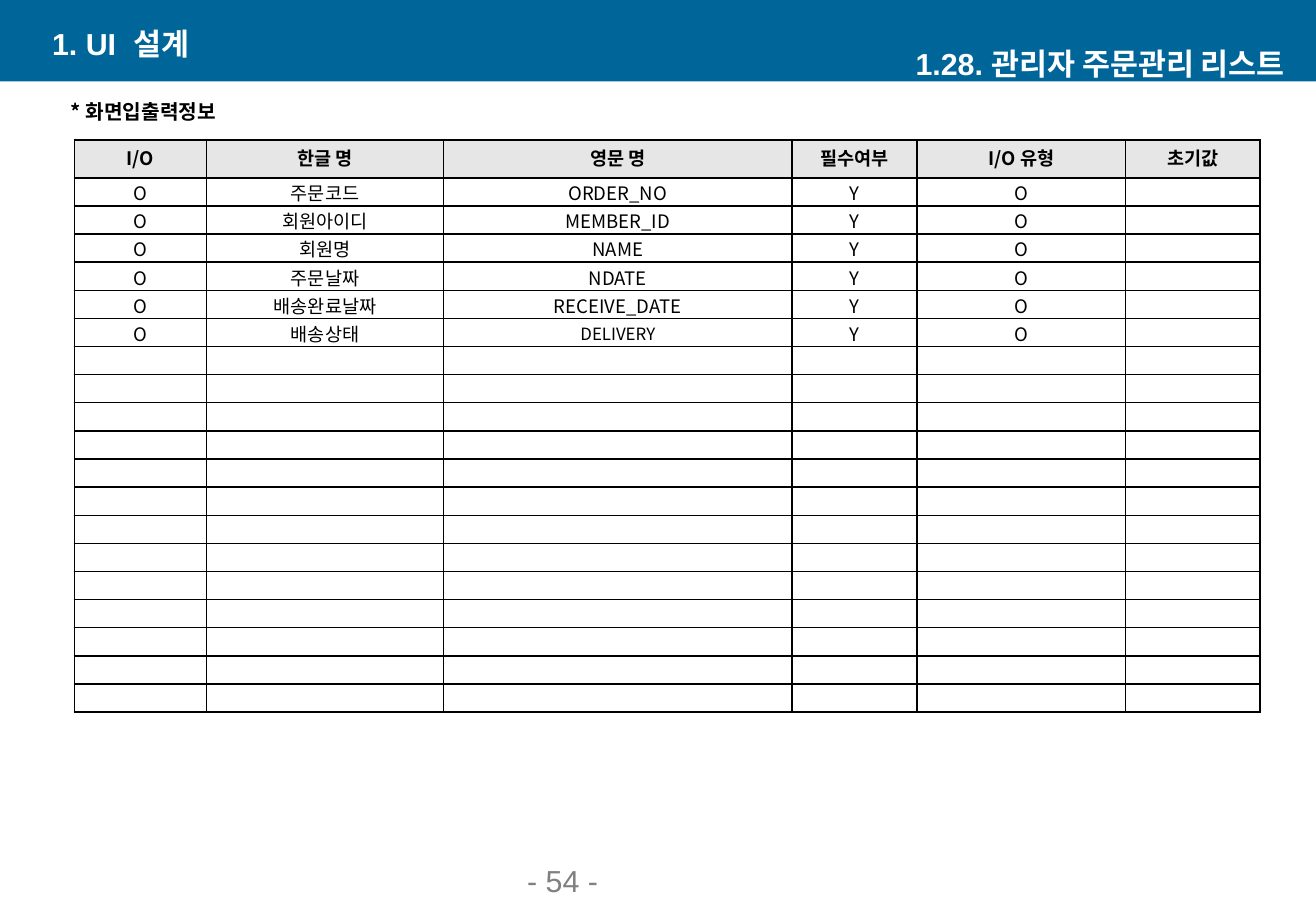
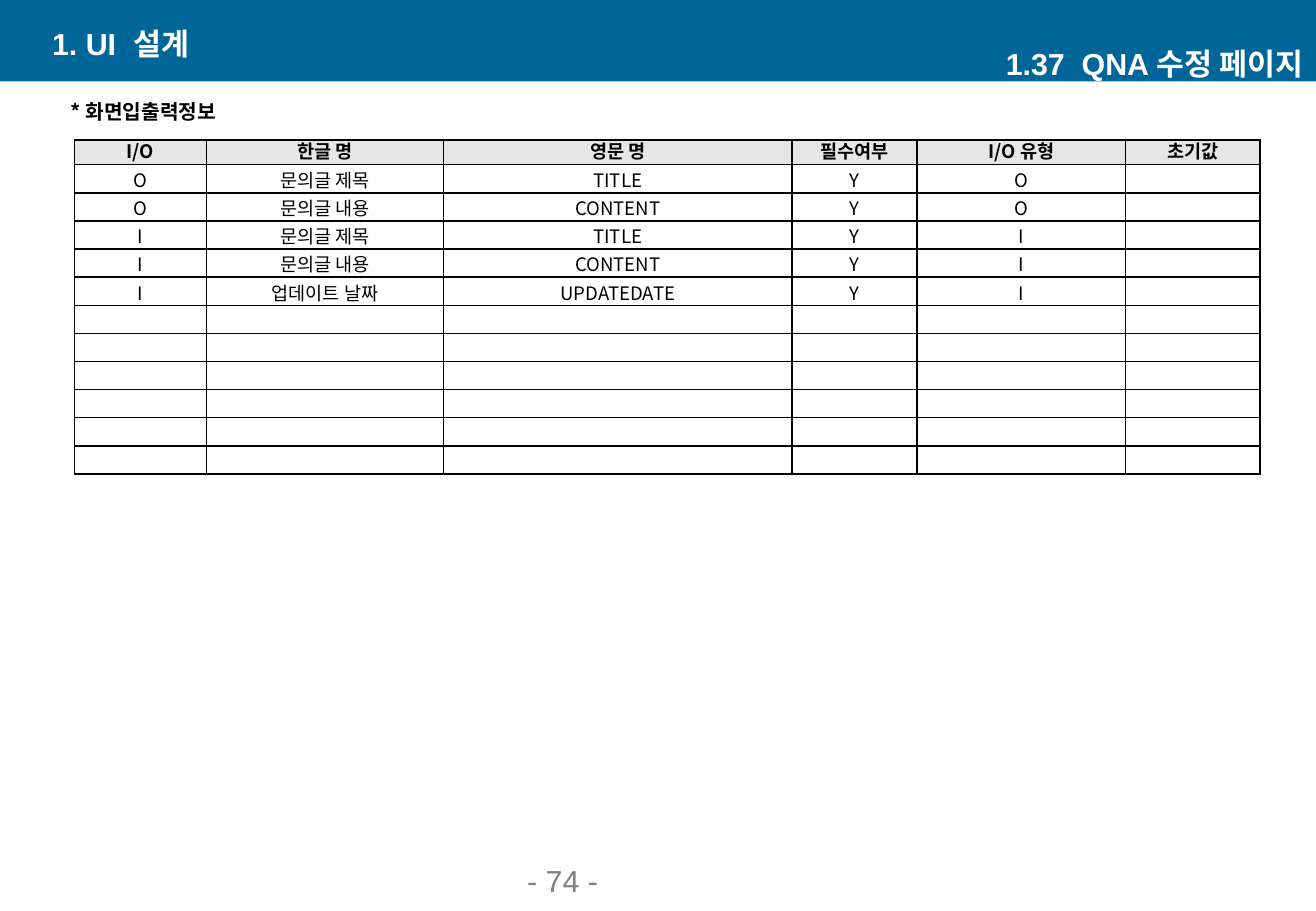
import pptx
import pptx.dml.color
import pptx.enum.shapes
import pptx.enum.text
import pptx.oxml.ns
import pptx.util
from lxml import etree

WIDTH, HEIGHT = pptx.util.Inches(10.83), pptx.util.Inches(7.5)
COLORS = {"band": "006699", "title": "FFFFFF", "ink": "000000",
          "header": "E6E6E6", "page": "808080"}
HEADING_FONT, BODY_FONT = "Arial", "Noto Sans CJK KR"
HEADERS = ["I/O", "한글 명", "영문 명", "필수여부", "I/O 유형", "초기값"]
COLUMN_SHARES = [10.06, 18, 26.48, 9.5, 15.86, 10.22]
ROW_SHARE = 3.09
SMALL_NAMES = {"DELIVERY": 10}
ALIGN = pptx.enum.text.PP_ALIGN
ANCHOR = pptx.enum.text.MSO_ANCHOR

SCREENS = [
    {"title": "1.28. 관리자 주문관리 리스트", "title_inset": 0.25, "page": 54,
     "header_share": 4.17, "body_rows": 19,
     "fields": [("O", "주문코드", "ORDER_NO"),
                ("O", "회원아이디", "MEMBER_ID"),
                ("O", "회원명", "NAME"),
                ("O", "주문날짜", "NDATE"),
                ("O", "배송완료날짜", "RECEIVE_DATE"),
                ("O", "배송상태", "DELIVERY")]},
    {"title": "1.37  QNA 수정 페이지", "title_inset": 0.1, "page": 74,
     "header_share": 2.73, "body_rows": 11,
     "fields": [("O", "문의글 제목", "TITLE"),
                ("O", "문의글 내용", "CONTENT"),
                ("I", "문의글 제목", "TITLE"),
                ("I", "문의글 내용", "CONTENT"),
                ("I", "업데이트 날짜", "UPDATEDATE")]},
]


def across(share):
    return round(WIDTH * share / 100)


def down(share):
    return round(HEIGHT * share / 100)


def area(left, top, width, height):
    return across(left), down(top), across(width), down(height)


def rgb(name):
    return pptx.dml.color.RGBColor.from_string(COLORS[name])


def child(parent, tag, **attributes):
    return etree.SubElement(parent, pptx.oxml.ns.qn(tag), attributes)


def style(paragraph, font, size, color, bold=False, align=ALIGN.LEFT):
    paragraph.alignment = align
    paragraph.font.size = pptx.util.Pt(size)
    paragraph.font.bold = bold
    paragraph.font.color.rgb = rgb(color)
    paragraph.font.name = font


def add_band(slide):
    band = slide.shapes.add_shape(
        pptx.enum.shapes.MSO_SHAPE.RECTANGLE, *area(0, 0, 100, 8.93))
    band.shadow.inherit = False
    band.fill.solid()
    band.fill.fore_color.rgb = rgb("band")
    band.line.fill.background()


def add_text(slide, place, text, font, size, color, bold=True,
             align=ALIGN.LEFT, anchor=ANCHOR.MIDDLE, wrap=True):
    frame = slide.shapes.add_textbox(*area(*place)).text_frame
    frame.word_wrap = wrap
    frame.vertical_anchor = anchor
    frame.text = text
    style(frame.paragraphs[0], font, size, color, bold, align)
    return frame


def add_borders(cell):
    properties = cell._tc.get_or_add_tcPr()
    for side in "LRTB":
        line = child(properties, f"a:ln{side}", w=str(pptx.util.Pt(1)))
        child(child(line, "a:solidFill"), "a:srgbClr", val=COLORS["ink"])


def fill_cell(cell, text, is_header):
    add_borders(cell)
    cell.vertical_anchor = ANCHOR.MIDDLE
    side, top = (0.07, 0) if is_header else (0.01, 0.01)
    cell.margin_left = cell.margin_right = pptx.util.Inches(side)
    cell.margin_top, cell.margin_bottom = pptx.util.Inches(top), 0
    if is_header:
        cell.fill.solid()
        cell.fill.fore_color.rgb = rgb("header")
    else:
        cell.fill.background()
    size = SMALL_NAMES.get(text, 11)
    paragraph = cell.text_frame.paragraphs[0]
    if text:
        paragraph.text = text
    style(paragraph, BODY_FONT, size, "ink", is_header, ALIGN.CENTER)
    if is_header:
        paragraph.line_spacing = pptx.util.Pt(14)
    if not text:
        ending = child(paragraph._p, "a:endParaRPr", sz=str(size * 100))
        child(ending, "a:latin", typeface=BODY_FONT)


def add_field_table(slide, fields, body_rows, header_share):
    heights = [header_share] + [ROW_SHARE] * body_rows
    place = area(5.65, 15.35, sum(COLUMN_SHARES), sum(heights))
    table = slide.shapes.add_table(
        len(heights), len(COLUMN_SHARES), *place).table
    table.first_row = table.horz_banding = False
    for column, share in zip(table.columns, COLUMN_SHARES):
        column.width = across(share)
    rows = [HEADERS] + [(io, korean, english, "Y", io, "")
                        for io, korean, english in fields]
    rows += [[""] * len(HEADERS)] * (len(heights) - len(rows))
    for index, (row, share, values) in enumerate(
            zip(table.rows, heights, rows)):
        row.height = down(share)
        for cell, value in zip(row.cells, values):
            fill_cell(cell, value, index == 0)


def add_screen(deck, screen):
    slide = deck.slides.add_slide(deck.slide_layouts[6])
    add_band(slide)
    add_text(slide, (39.15, 95.15, 20.87, 4.13), f"- {screen['page']} -",
             HEADING_FONT, 18, "page", bold=False, anchor=ANCHOR.BOTTOM)
    add_field_table(slide, screen["fields"], screen["body_rows"],
                    screen["header_share"])
    add_text(slide, (3.88, 10.27, 14.04, 3.87), "* 화면입출력정보",
             BODY_FONT, 12, "ink", align=ALIGN.CENTER,
             anchor=ANCHOR.TOP, wrap=False)
    add_text(slide, (3.05, 2.53, 40.44, 4.4), "1. UI  설계",
             HEADING_FONT, 18, "title")
    title = add_text(slide, (59.5, 4.75, 40.44, 4.4), screen["title"],
                     HEADING_FONT, 18, "title", align=ALIGN.RIGHT)
    title.margin_right = pptx.util.Inches(screen["title_inset"])


def main():
    deck = pptx.Presentation()
    deck.slide_width, deck.slide_height = WIDTH, HEIGHT
    for screen in SCREENS:
        add_screen(deck, screen)
    deck.save("out.pptx")


if __name__ == "__main__":
    main()
